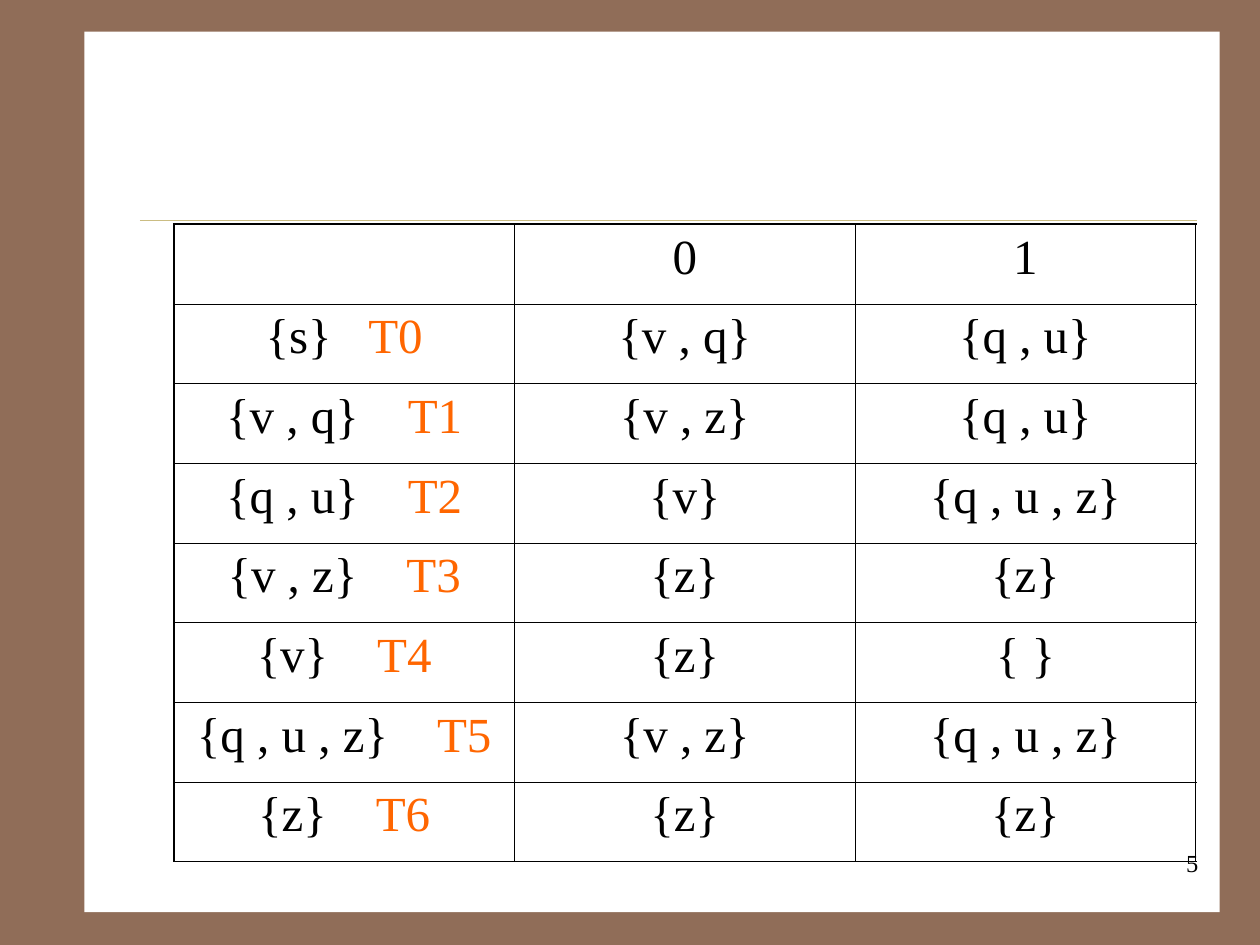
"""Build a slide with the subset-construction transition table."""
from dataclasses import dataclass

from lxml import etree
from pptx import Presentation
from pptx.dml.color import RGBColor
from pptx.enum.shapes import MSO_CONNECTOR, MSO_SHAPE
from pptx.enum.text import PP_ALIGN
from pptx.oxml.ns import qn
from pptx.util import Inches, Pt

RECT = MSO_SHAPE.RECTANGLE
STRAIGHT = MSO_CONNECTOR.STRAIGHT
CENTER, RIGHT = PP_ALIGN.CENTER, PP_ALIGN.RIGHT


@dataclass(frozen=True)
class Theme:
    """Colours, font and sizes of the slide."""
    frame: str = "906D58"
    paper: str = "FFFFFF"
    rule: str = "CBBD83"
    ink: str = "000000"
    label: str = "FF6600"
    font: str = "Times New Roman"
    cell_size: float = 28
    number_size: float = 14
    outer_border: float = 1.08
    inner_border: float = 0.45


THEME = Theme()
HEADER = ("", "0", "1")
TRANSITIONS = (
    ("{s}", "{v , q}", "{q , u}"),
    ("{v , q}", "{v , z}", "{q , u}"),
    ("{q , u}", "{v}", "{q , u , z}"),
    ("{v , z}", "{z}", "{z}"),
    ("{v}", "{z}", "{ }"),
    ("{q , u , z}", "{v , z}", "{q , u , z}"),
    ("{z}", "{z}", "{z}"),
)
FIRST_GAP, LABEL_GAP = 14, 21


def add_run(p, text, size, color=THEME.ink):
    """Append a formatted run to a paragraph."""
    r = p.add_run()
    r.text = text
    r.font.name = THEME.font
    r.font.size = Pt(size)
    r.font.color.rgb = RGBColor.from_string(color)
    return r


def add_paper(s):
    """Draw the page panel on the coloured background."""
    s.background.fill.solid()
    s.background.fill.fore_color.rgb = RGBColor.from_string(THEME.frame)
    sp = s.shapes.add_shape(RECT, Inches(0.67), Inches(0.25), Inches(9.01), Inches(6.99))
    sp.shadow.inherit = False
    sp.fill.solid()
    sp.fill.fore_color.rgb = RGBColor.from_string(THEME.paper)
    sp.line.fill.background()


def add_rule(s):
    """Draw the thin line under the title area."""
    y = Inches(1.75)
    line = s.shapes.add_connector(STRAIGHT, Inches(1.11), y, Inches(9.5), y)
    line.line.color.rgb = RGBColor.from_string(THEME.rule)
    line.line.width = Pt(0.25)
    etree.SubElement(line._element.spPr, qn("a:effectLst"))


def set_borders(cell, outer_sides):
    """Give a cell four borders, heavier on the table's outer sides."""
    tc_pr = cell._tc.get_or_add_tcPr()
    for side in "LRTB":
        width = THEME.outer_border if side in outer_sides else THEME.inner_border
        ln = etree.SubElement(tc_pr, qn(f"a:ln{side}"), w=str(Pt(width)))
        fill = etree.SubElement(ln, qn("a:solidFill"))
        etree.SubElement(fill, qn("a:srgbClr"), val=THEME.ink)


def add_label(p, text, gap):
    """Append a state label after one space widened by gap points."""
    space = add_run(p, " ", THEME.cell_size)
    space.font._element.set("spc", str(gap * 100))
    add_run(p, text, THEME.cell_size, THEME.label)


def add_transition_table(s):
    """Add the table of states and their successors on 0 and 1."""
    rows = (HEADER, *TRANSITIONS)
    last_row, last_col = len(rows) - 1, len(HEADER) - 1
    table = s.shapes.add_table(len(rows), len(HEADER), Inches(1.38), Inches(1.78),
                               Inches(8.11), Inches(5.06)).table
    table.first_row = table.horz_banding = False
    for i, row in enumerate(rows):
        for j, text in enumerate(row):
            cell = table.cell(i, j)
            sides = {"T": i == 0, "B": i == last_row, "L": j == 0, "R": j == last_col}
            set_borders(cell, [side for side, outer in sides.items() if outer])
            cell.fill.background()
            p = cell.text_frame.paragraphs[0]
            p.alignment = CENTER
            if text:
                add_run(p, text, THEME.cell_size)
            if i > 0 and j == 0:
                add_label(p, f"T{i - 1}", FIRST_GAP if i == 1 else LABEL_GAP)


def add_slide_number(s, number):
    """Add the slide number at the lower right."""
    tf = s.shapes.add_textbox(Inches(7.53), Inches(6.68), Inches(2.08), Inches(0.5)).text_frame
    tf.word_wrap = True
    p = tf.paragraphs[0]
    p.alignment = RIGHT
    add_run(p, number, THEME.number_size)


def main():
    """Create the presentation and save it."""
    prs = Presentation()
    prs.slide_width, prs.slide_height = Inches(10), Inches(7.5)
    s = prs.slides.add_slide(prs.slide_layouts[6])
    add_paper(s)
    add_rule(s)
    add_transition_table(s)
    add_slide_number(s, "5")
    prs.save("out.pptx")


if __name__ == "__main__":
    main()
